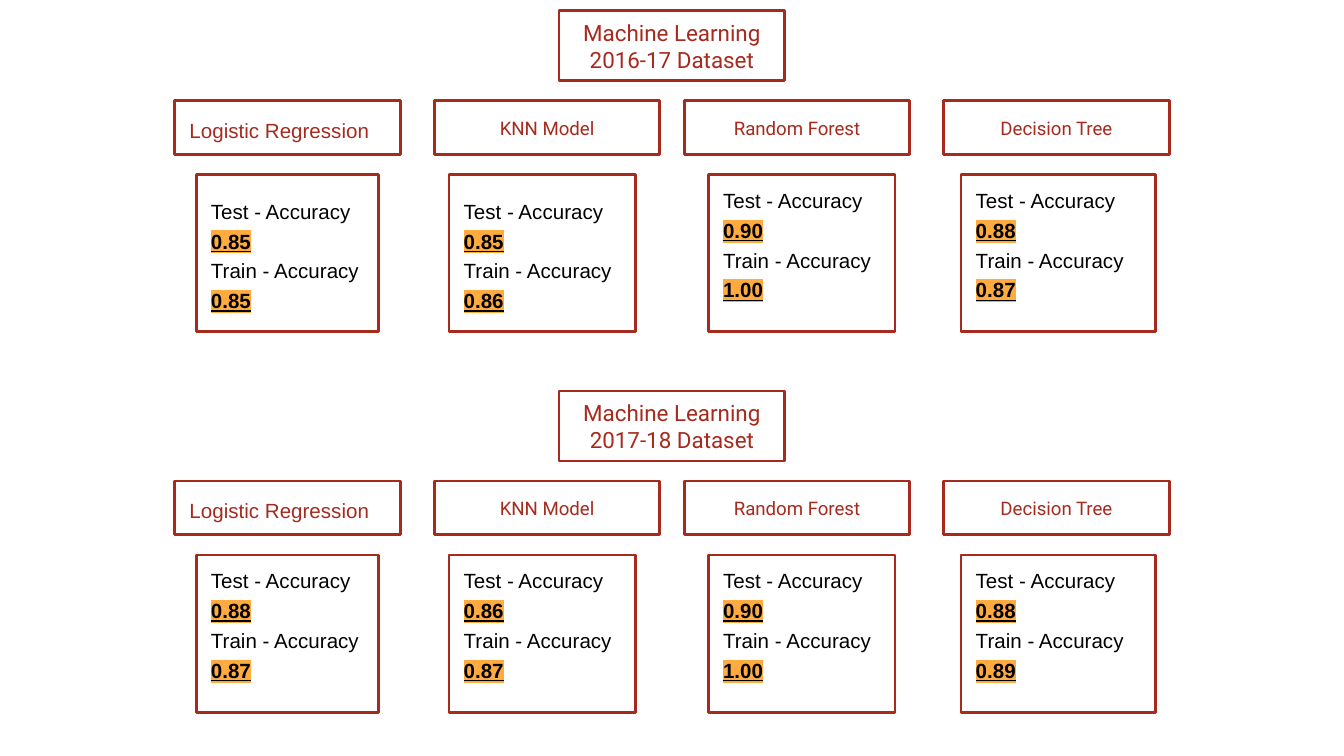
import pptx
import pptx.dml.color
import pptx.enum.shapes
import pptx.enum.text
import pptx.oxml
import pptx.oxml.ns
import pptx.util

Inches = pptx.util.Inches
ALIGN = pptx.enum.text.PP_ALIGN

COLORS = {"red": "A72A1E", "black": "000000", "highlight": "FFAB40"}

HEADING = {"name": "Roboto", "size": pptx.util.Pt(12), "bold": False}
MODEL = {"name": "Roboto", "size": pptx.util.Pt(10)}
BODY = {"name": "Arial", "size": pptx.util.Pt(11)}
SCORE = {**BODY, "bold": True, "underline": True}

CENTERED = {"alignment": ALIGN.CENTER, "line_spacing": 1.0}
SPACED = {"alignment": ALIGN.LEFT, "line_spacing": 1.21}

# Model name, left of name box, left and width of score box
MODELS = [
    ("Logistic Regression", 1.3, 1.46, 1.36),
    ("KNN Model", 3.23, 3.34, 1.39),
    ("Random Forest", 5.09, 5.27, 1.39),
    ("Decision Tree", 7.02, 7.15, 1.45),
]

# Season, top of section, (test, train) for each model
SECTIONS = [
    ("2016-17", 0.08, [("0.85", "0.85"), ("0.85", "0.86"),
                       ("0.90", "1.00"), ("0.88", "0.87")]),
    ("2017-18", 2.91, [("0.88", "0.87"), ("0.86", "0.87"),
                       ("0.90", "1.00"), ("0.88", "0.89")]),
]
BOX_WIDTH = 1.68
NAME_OFFSET, SCORE_OFFSET = 0.67, 1.22
RAISED_SCORES = {"margin_top": Inches(0.06), "margin_bottom": Inches(0.22)}


def apply_format(target, values):
    for attribute, value in values.items():
        setattr(target, attribute, value)


def rgb(color):
    return pptx.dml.color.RGBColor.from_string(COLORS[color])


def style_box(shape, left, top, width, height):
    """Place a red outlined box and prepare its text frame."""
    apply_format(shape, {"left": Inches(left), "top": Inches(top),
                         "width": Inches(width), "height": Inches(height)})
    shape.fill.background()
    shape.line.color.rgb = rgb("red")
    shape.line.width = pptx.util.Pt(1.5)
    margins = {f"margin_{side}": Inches(0.1)
               for side in ("left", "top", "right", "bottom")}
    apply_format(shape.text_frame, {
        **margins, "word_wrap": True,
        "auto_size": pptx.enum.text.MSO_AUTO_SIZE.NONE,
        "vertical_anchor": pptx.enum.text.MSO_ANCHOR.MIDDLE})
    return shape


def add_box(slide, left, top, width, height):
    shape = slide.shapes.add_shape(
        pptx.enum.shapes.MSO_SHAPE.RECTANGLE, 0, 0, 0, 0)
    shape.shadow.inherit = False
    return style_box(shape, left, top, width, height)


def write_line(paragraph, text, font, color, layout):
    apply_format(paragraph, layout)
    run = paragraph.add_run()
    run.text = text
    apply_format(run.font, font)
    run.font.color.rgb = rgb(color)
    return run


def highlight(run):
    fill = run._r.get_or_add_rPr().find(pptx.oxml.ns.qn("a:solidFill"))
    fill.addnext(pptx.oxml.parse_xml(
        f'<a:highlight {pptx.oxml.ns.nsdecls("a")}>'
        f'<a:srgbClr val="{COLORS["highlight"]}"/></a:highlight>'))


def add_model_name(slide, name, left, top):
    frame = add_box(slide, left, top, BOX_WIDTH, 0.4).text_frame
    font, layout = MODEL, CENTERED
    if name == "Logistic Regression":
        font, layout = BODY, SPACED
        frame.margin_left = Inches(0.11)
    write_line(frame.paragraphs[0], name, font, "red", layout)


def add_scores(slide, scores, left, top, width, raised):
    frame = add_box(slide, left, top, width, 1.17).text_frame
    frame.margin_left = Inches(0.11)
    if raised:
        apply_format(frame, RAISED_SCORES)
    paragraph = frame.paragraphs[0]
    for label, score in zip(("Test", "Train"), scores):
        if label == "Train":
            paragraph = frame.add_paragraph()
        write_line(paragraph, f"{label} - Accuracy", BODY, "black", SPACED)
        highlight(write_line(frame.add_paragraph(), score, SCORE, "black",
                             SPACED))


def add_section(slide, heading, season, top, section_scores):
    write_line(heading.text_frame.paragraphs[0],
               f"Machine Learning {season} Dataset", HEADING, "red", CENTERED)
    for (name, name_left, score_left, width), scores in zip(
            MODELS, section_scores):
        add_model_name(slide, name, name_left, top + NAME_OFFSET)
        # The first two boxes of 2016-17 have centred scores
        raised = season != "2016-17" or name in ("Random Forest",
                                                 "Decision Tree")
        add_scores(slide, scores, score_left, top + SCORE_OFFSET, width,
                   raised)


def main():
    presentation = pptx.Presentation()
    # Widescreen, 16 to 9
    presentation.slide_width = Inches(10)
    presentation.slide_height = Inches(10) * 9 // 16
    slide = presentation.slides.add_slide(presentation.slide_layouts[5])

    # The first heading is the slide title
    for season, top, section_scores in SECTIONS:
        place = (4.16, top, BOX_WIDTH, 0.52)
        if season == "2016-17":
            heading = style_box(slide.shapes.title, *place)
        else:
            heading = add_box(slide, *place)
        add_section(slide, heading, season, top, section_scores)

    presentation.save("out.pptx")


main()
